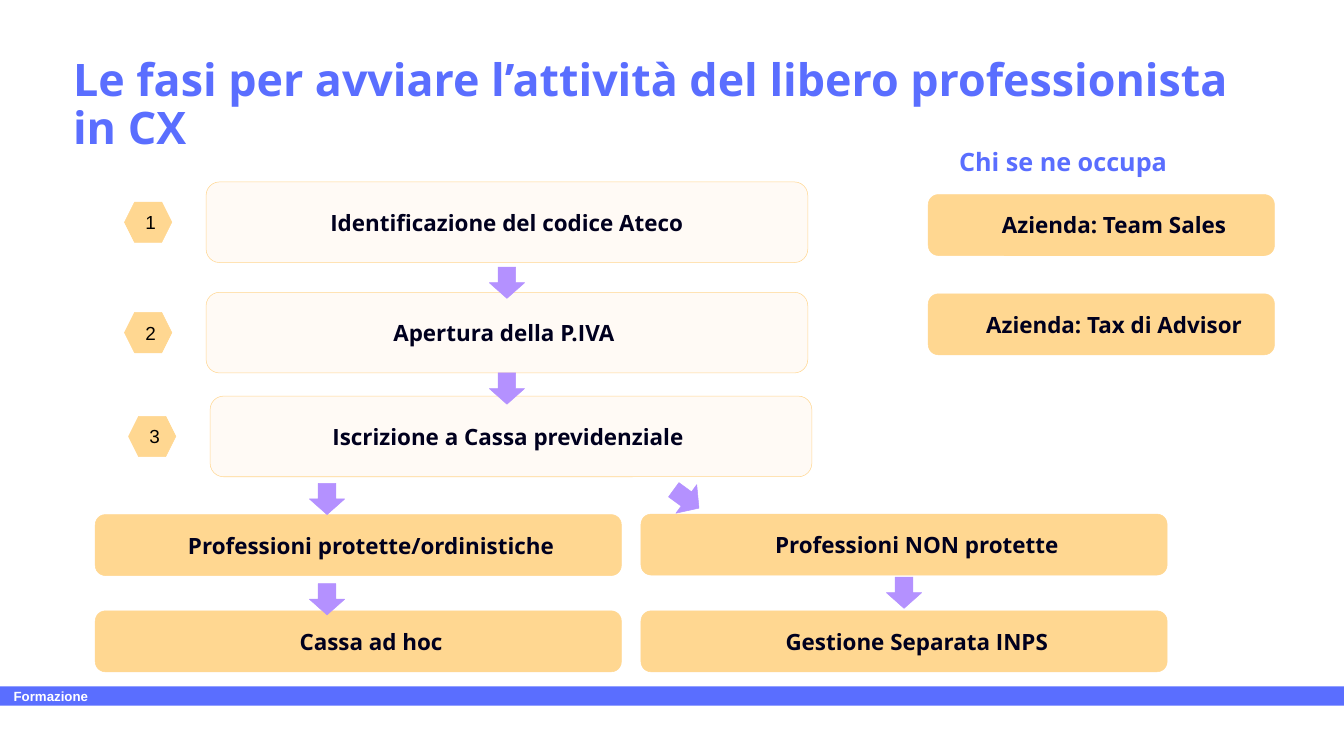
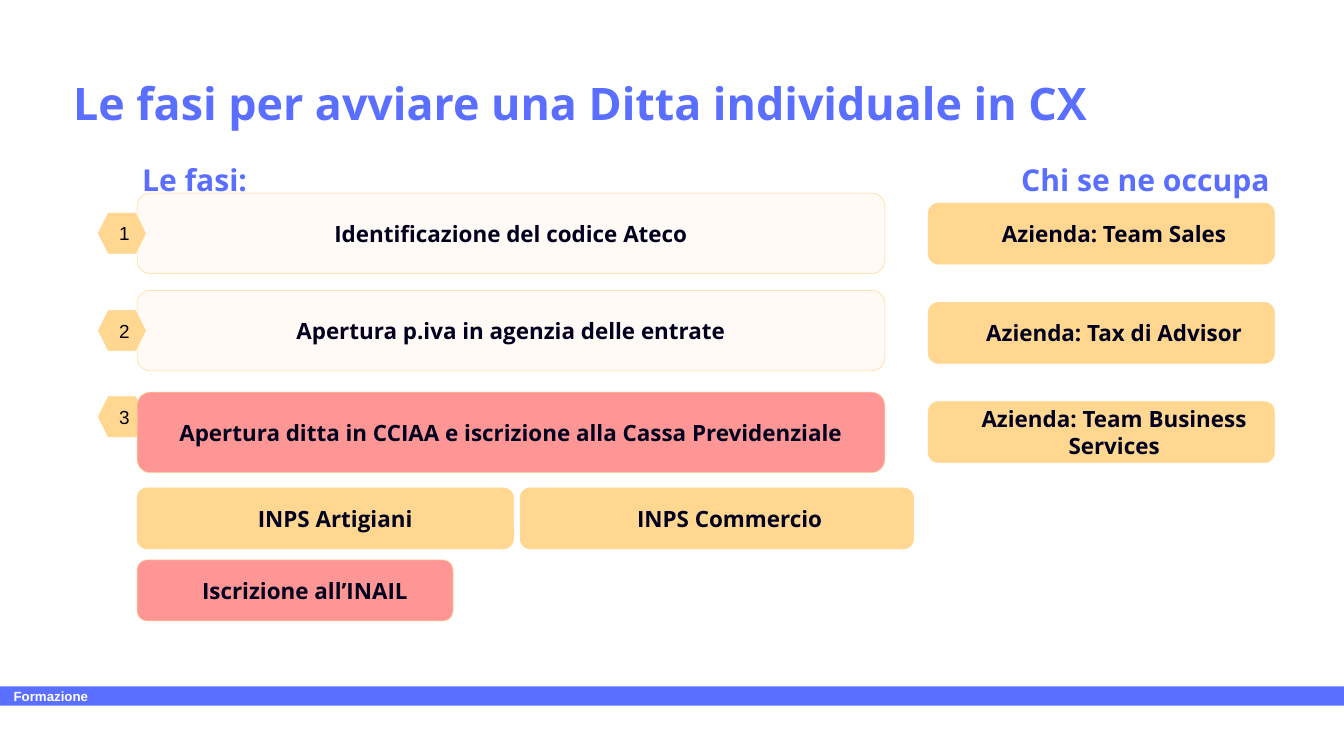
import pptx
import pptx.util
import pptx.dml.color
import pptx.enum.shapes
import pptx.enum.text

Inches = pptx.util.Inches
Pt = pptx.util.Pt
RGBColor = pptx.dml.color.RGBColor
Shape = pptx.enum.shapes.MSO_SHAPE
Align = pptx.enum.text.PP_ALIGN
Anchor = pptx.enum.text.MSO_ANCHOR
AutoSize = pptx.enum.text.MSO_AUTO_SIZE

# Shared style
BLUE = RGBColor(0x5A, 0x6E, 0xFF)
ORANGE = RGBColor(0xFF, 0xD7, 0x91)
CREAM = RGBColor(0xFF, 0xFA, 0xF5)
RED = RGBColor(0xFF, 0x96, 0x96)
PURPLE = RGBColor(0xB4, 0x91, 0xFF)
NAVY = RGBColor(0x00, 0x00, 0x1E)
BLACK = RGBColor(0x00, 0x00, 0x00)
WHITE = RGBColor(0xFF, 0xFF, 0xFF)
HEADING_FONT = "Open Sans"
PLAIN_FONT = "Arial"
STEP_HEIGHT = 1.6
CARD_HEIGHT = 1.21
CARD_INDENT = 0.51
OWNER_LEFT, OWNER_WIDTH, OWNER_PITCH = 18.42, 6.87, 1.97


def write_text(shape, text, font, size, color, bold=True, align=Align.LEFT,
               inset=(0.27, 0.27), anchor=Anchor.MIDDLE):
    """Fill a shape with one formatted paragraph and return it."""
    frame = shape.text_frame
    frame.word_wrap = True
    frame.vertical_anchor = anchor
    frame.margin_left = frame.margin_right = Inches(inset[0])
    frame.margin_top = frame.margin_bottom = Inches(inset[1])
    frame.text = text
    para = frame.paragraphs[0]
    para.alignment = align
    para.font.name = font
    para.font.size = Pt(size)
    para.font.bold = bold
    para.font.color.rgb = color
    return para


def add_block(page, kind, place, fill, text="", indent=0):
    """Add a filled shape; hexagons carry numbers, other blocks bold labels."""
    shape = page.shapes.add_shape(kind, *map(Inches, place))
    shape.shadow.inherit = False
    shape.fill.solid()
    shape.fill.fore_color.rgb = fill
    shape.line.color.rgb = PURPLE if fill == PURPLE else ORANGE
    shape.line.width = Pt(0.75)
    if kind == Shape.HEXAGON:
        write_text(shape, text, PLAIN_FONT, 27, BLACK, False, Align.CENTER)
    elif text:
        para = write_text(shape, text, HEADING_FONT, 32, NAVY, True, Align.CENTER)
        para.space_after = Pt(11)
        if indent:
            properties = para._p.get_or_add_pPr()
            properties.set("marL", str(Inches(indent)))
            properties.set("indent", "0")
    return shape


deck = pptx.Presentation()
deck.slide_width = Inches(26.67)
deck.slide_height = Inches(15)

# Title and footer band of each page
pages = []
for title_text in ("Le fasi per avviare l’attività del libero professionista in CX",
                   "Le fasi per avviare una Ditta individuale in CX"):
    page = deck.slides.add_slide(deck.slide_layouts[5])
    title = page.shapes.title
    title.left, title.top = Inches(1.25), Inches(1.1)
    title.width, title.height = Inches(24.17), Inches(2)
    para = write_text(title, title_text, HEADING_FONT, 64, BLUE, inset=(0.2, 0.1))
    para.line_spacing = 0.9
    title.text_frame.auto_size = AutoSize.NONE

    band = page.shapes.add_shape(Shape.RECTANGLE, 0, Inches(13.62),
                                 deck.slide_width, Inches(0.38))
    band.shadow.inherit = False
    band.fill.solid()
    band.fill.fore_color.rgb = BLUE
    band.line.fill.background()
    write_text(band, "Formazione", PLAIN_FONT, 19, WHITE)
    pages.append(page)
freelance, company = pages

# Freelance: numbered steps
for number, (left, top, label) in enumerate((
        (4.09, 3.61, "Identificazione del codice Ateco"),
        (4.09, 5.8, "Apertura della P.IVA "),
        (4.17, 7.86, "Iscrizione a Cassa previdenziale ")), start=1):
    add_block(freelance, Shape.FLOWCHART_ALTERNATE_PROCESS,
              (left, top, 11.94, STEP_HEIGHT), CREAM, label)
    add_block(freelance, Shape.HEXAGON, (left - 1.62, top + 0.4, 0.94, 0.8),
              ORANGE, str(number))

# Freelance: the two branches
for left, top, label in ((1.89, 10.21, "Professioni protette/ordinistiche"),
                         (12.72, 10.2, "Professioni NON protette"),
                         (1.89, 12.12, "Cassa ad hoc"),
                         (12.72, 12.12, "Gestione Separata INPS")):
    add_block(freelance, Shape.FLOWCHART_ALTERNATE_PROCESS,
              (left, top, 10.44, CARD_HEIGHT), ORANGE, label, CARD_INDENT)

# Freelance: arrows between the steps
for left, top, angle in ((9.71, 5.3, 0), (9.71, 7.4, 0), (6.14, 9.59, 0),
                         (13.27, 9.59, 306.1), (6.14, 11.58, 0), (17.59, 11.45, 0)):
    arrow = add_block(freelance, Shape.DOWN_ARROW, (left, top, 0.7, 0.62), PURPLE)
    arrow.rotation = angle

# Company: numbers lie over the cream steps but under the red one
for top, label in ((3.83, "Identificazione del codice Ateco"),
                   (5.76, "Apertura p.iva in agenzia delle entrate")):
    add_block(company, Shape.FLOWCHART_ALTERNATE_PROCESS,
              (2.72, top, 14.84, STEP_HEIGHT), CREAM, label)
for number, top in enumerate((4.23, 6.16, 7.87), start=1):
    add_block(company, Shape.HEXAGON, (1.95, top, 0.94, 0.8), ORANGE, str(number))
add_block(company, Shape.FLOWCHART_ALTERNATE_PROCESS, (2.72, 7.78, 14.84, STEP_HEIGHT),
          RED, "Apertura ditta in CCIAA e iscrizione alla Cassa Previdenziale")

# Company: registrations
for left, top, width, fill, label in (
        (2.72, 9.68, 7.47, ORANGE, "INPS Artigiani "),
        (10.32, 9.68, 7.81, ORANGE, "INPS Commercio"),
        (2.72, 11.11, 6.27, RED, "Iscrizione all’INAIL ")):
    add_block(company, Shape.FLOWCHART_ALTERNATE_PROCESS,
              (left, top, width, CARD_HEIGHT), fill, label, CARD_INDENT)

# Column headings
for page, left, top, height, size, align, label in (
        (freelance, 17.09, 2.8, 0.81, 36, Align.CENTER, "Chi se ne occupa"),
        (company, 2.72, 3.1, 0.93, 43, Align.LEFT, "Le fasi:"),
        (company, 17.28, 3.1, 0.93, 43, Align.RIGHT, "Chi se ne occupa")):
    box = page.shapes.add_textbox(Inches(left), Inches(top), Inches(8.01), Inches(height))
    write_text(box, label, HEADING_FONT, size, BLUE, align=align,
               inset=(0.1, 0.1), anchor=Anchor.TOP)
    box.text_frame.auto_size = AutoSize.SHAPE_TO_FIT_TEXT

# Teams in charge
teams = ("Team Sales", "Tax di Advisor", "Team Business Services")
for page, first_top, count in ((freelance, 3.86, 2), (company, 4.03, 3)):
    for row, team in enumerate(teams[:count]):
        add_block(page, Shape.FLOWCHART_ALTERNATE_PROCESS,
                  (OWNER_LEFT, first_top + row * OWNER_PITCH, OWNER_WIDTH, CARD_HEIGHT),
                  ORANGE, f"Azienda: {team}", CARD_INDENT)

deck.save("out.pptx")
